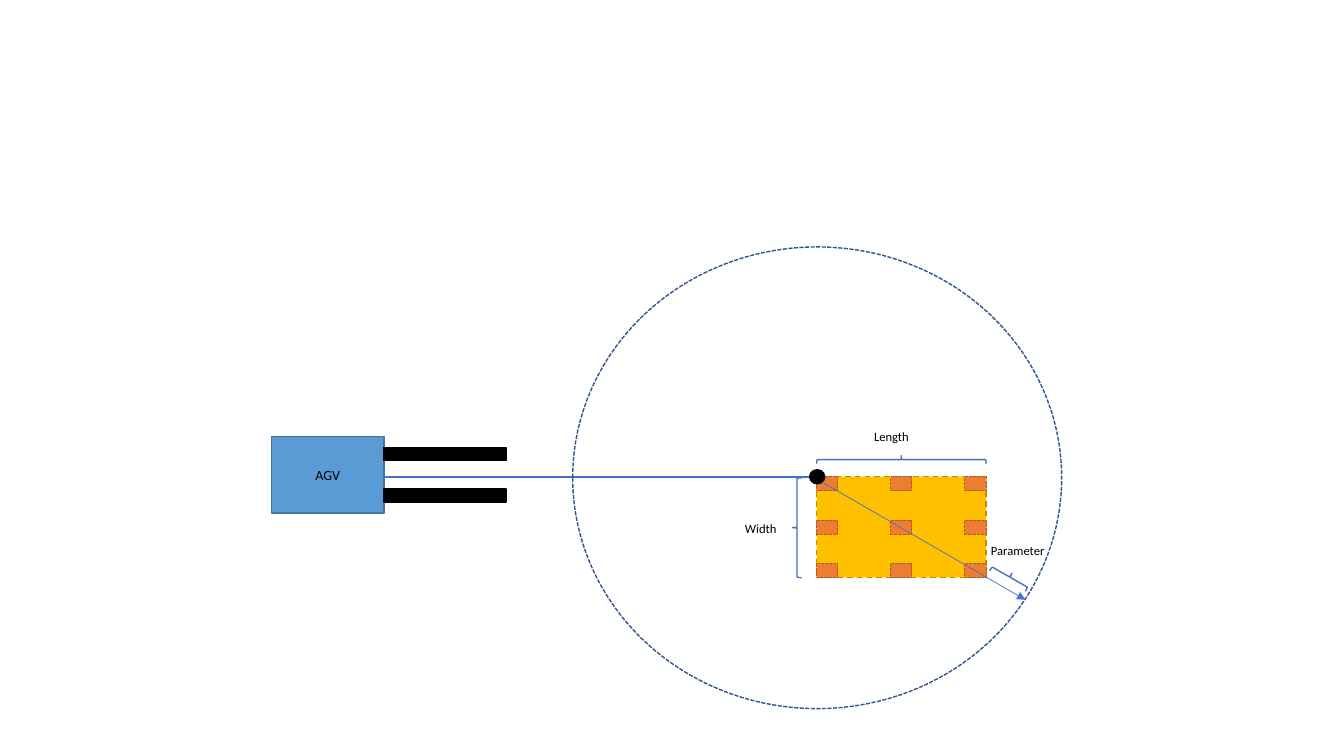
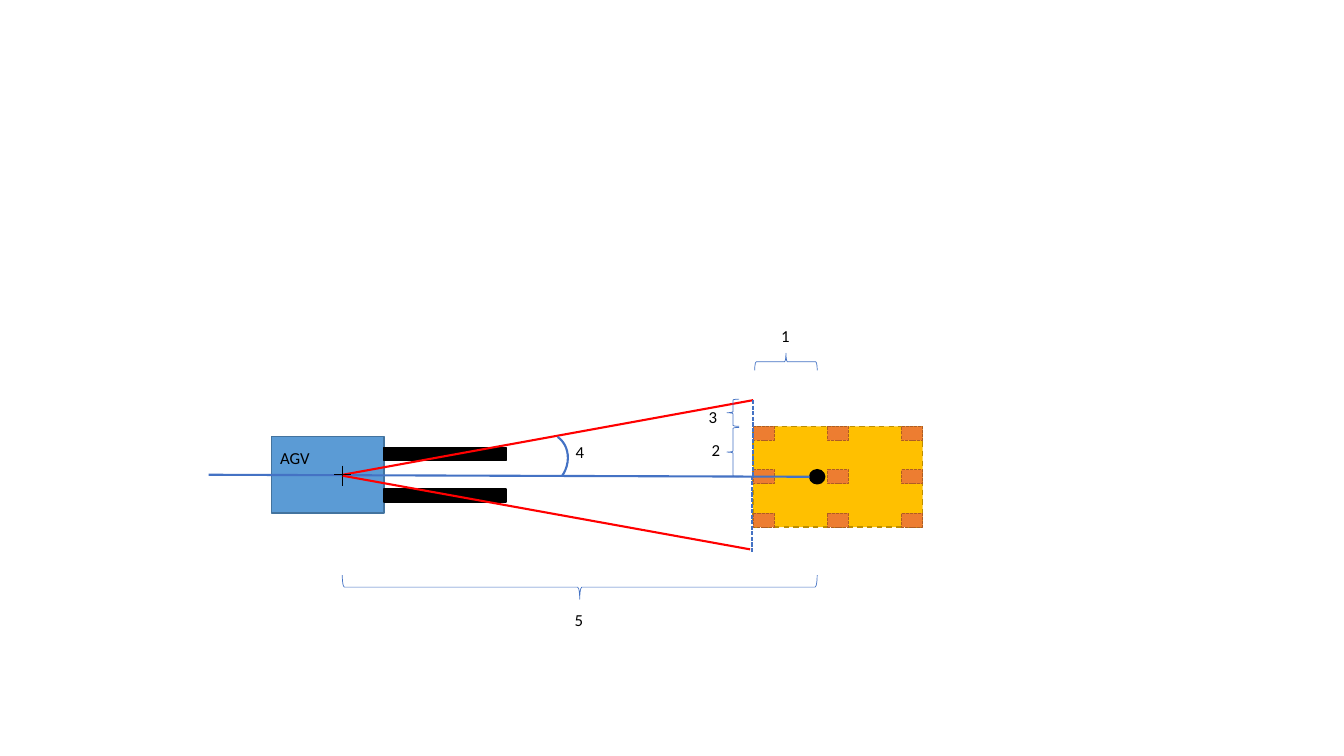
from lxml import etree
from pptx import Presentation
from pptx.dml.color import RGBColor
from pptx.enum.dml import MSO_LINE
from pptx.enum.shapes import MSO_CONNECTOR, MSO_SHAPE
from pptx.enum.text import MSO_ANCHOR, MSO_AUTO_SIZE, PP_ALIGN
from pptx.oxml.ns import qn
from pptx.util import Inches, Pt

BLUE = RGBColor(0x44, 0x72, 0xC4)
CIRCLE_BLUE = RGBColor(0x32, 0x54, 0x91)
VEHICLE_FILL = RGBColor(0x5B, 0x9B, 0xD5)
VEHICLE_LINE = RGBColor(0x43, 0x73, 0x9E)
PALLET_FILL = RGBColor(0xFF, 0xC0, 0x00)
PALLET_LINE = RGBColor(0xBD, 0x8E, 0x00)
FOOT_FILL = RGBColor(0xED, 0x7D, 0x31)
FOOT_LINE = RGBColor(0xAF, 0x5C, 0x24)
RED = RGBColor(0xFF, 0x00, 0x00)
BLACK = RGBColor(0x00, 0x00, 0x00)
FONT = "Calibri"
PALLET_WIDTH, PALLET_HEIGHT = 1.68, 1
FOOT_WIDTH, FOOT_HEIGHT = 0.21, 0.14


def add_figure(slide, kind, box, fill, color, width=1, dash=None, rotation=0):
    shape = slide.shapes.add_shape(kind, *[Inches(value) for value in box])
    shape.shadow.inherit = False
    if fill is None:
        shape.fill.background()
    else:
        shape.fill.solid()
        shape.fill.fore_color.rgb = fill
    shape.line.color.rgb = color
    shape.line.width = Pt(width)
    shape.line.dash_style = dash
    shape.rotation = rotation
    return shape


def add_line(slide, start, end, color, width, dash=None):
    points = [Inches(value) for value in (*start, *end)]
    connector = slide.shapes.add_connector(MSO_CONNECTOR.STRAIGHT, *points)
    connector.line.color.rgb = color
    connector.line.width = Pt(width)
    connector.line.dash_style = dash
    etree.SubElement(connector._element.spPr, qn("a:effectLst"))
    return connector


presentation = Presentation()
presentation.slide_width = Inches(13.33)
presentation.slide_height = Inches(7.5)
blank_layout = presentation.slide_layouts[6]
radius_slide = presentation.slides.add_slide(blank_layout)
angle_slide = presentation.slides.add_slide(blank_layout)

add_line(radius_slide, (8.03, 4.73), (3.11, 4.73), BLUE, 1.5)

for slide, pallet_left, pallet_top, vehicle_text in (
    (radius_slide, 8.1, 4.73, "AGV"),
    (angle_slide, 7.47, 4.23, ""),
):
    add_figure(slide, MSO_SHAPE.RECTANGLE, (pallet_left, pallet_top, PALLET_WIDTH, PALLET_HEIGHT),
               PALLET_FILL, PALLET_LINE, dash=MSO_LINE.DASH)
    vehicle = add_figure(slide, MSO_SHAPE.RECTANGLE, (2.69, 4.33, 1.12, 0.76), VEHICLE_FILL, VEHICLE_LINE)
    vehicle.text_frame.text = vehicle_text
    vehicle.text_frame.vertical_anchor = MSO_ANCHOR.MIDDLE
    paragraph = vehicle.text_frame.paragraphs[0]
    paragraph.alignment = PP_ALIGN.CENTER
    for run in paragraph.runs:
        run.font.name = FONT
        run.font.size = Pt(10)
        run.font.color.rgb = BLACK
    for fork_top in (4.44, 4.85):
        add_figure(slide, MSO_SHAPE.RECTANGLE, (3.81, fork_top, 1.21, 0.13), BLACK, BLACK)
    for row in range(3):
        for column in range(3):
            foot_left = pallet_left + column * (PALLET_WIDTH - FOOT_WIDTH) / 2
            foot_top = pallet_top + row * (PALLET_HEIGHT - FOOT_HEIGHT) / 2
            add_figure(slide, MSO_SHAPE.RECTANGLE, (foot_left, foot_top, FOOT_WIDTH, FOOT_HEIGHT),
                       FOOT_FILL, FOOT_LINE, 0.75, MSO_LINE.SQUARE_DOT)
    add_figure(slide, MSO_SHAPE.OVAL, (8.03, 4.66, 0.15, 0.14), BLACK, BLACK)

add_figure(radius_slide, MSO_SHAPE.OVAL, (5.68, 2.45, 4.85, 4.58), None, CIRCLE_BLUE,
           dash=MSO_LINE.SQUARE_DOT)
radius_arrow = add_line(radius_slide, (8.15, 4.78), (10.17, 5.95), BLUE, 0.5)
etree.SubElement(radius_arrow.line._get_or_add_ln(), qn("a:tailEnd"), type="triangle")

for start, end, color, width, dash in (
    ((3.4, 4.71), (7.47, 3.97), RED, 1.5, None),
    ((8.03, 4.73), (2.07, 4.71), BLUE, 1.5, None),
    ((3.4, 4.62), (3.4, 4.82), BLACK, 0.5, None),
    ((3.48, 4.71), (3.31, 4.71), BLACK, 0.5, None),
    ((7.47, 3.97), (7.47, 4.73), BLUE, 1, MSO_LINE.SQUARE_DOT),
    ((3.4, 4.72), (7.44, 5.45), RED, 1.5, None),
    ((7.46, 4.72), (7.46, 5.48), BLUE, 1, MSO_LINE.SQUARE_DOT),
):
    add_line(angle_slide, start, end, color, width, dash)
add_figure(angle_slide, MSO_SHAPE.ARC, (5.1, 4.28, 0.52, 0.59), None, BLUE, 1.5, rotation=35.2)

for slide, box, width, rotation in (
    (radius_slide, (7.86, 4.74, 0.09, 0.99), 1, 0),
    (radius_slide, (8.9, 3.72, 0.08, 1.68), 1, 90),
    (radius_slide, (9.97, 5.52, 0.09, 0.41), 1, 119.8),
    (angle_slide, (7.71, 3.28, 0.17, 0.62), 0.5, 90),
    (angle_slide, (7.21, 4.24, 0.12, 0.49), 0.5, 0),
    (angle_slide, (7.21, 3.96, 0.12, 0.27), 0.5, 0),
    (angle_slide, (5.63, 3.47, 0.24, 4.71), 0.5, 270),
):
    add_figure(slide, MSO_SHAPE.LEFT_BRACE, box, None, BLUE, width, rotation=rotation)

for slide, text, box, size, wrap in (
    (radius_slide, "Width", (7.29, 5.12, 0.78, 0.25), 9, True),
    (radius_slide, "Length", (8.57, 4.21, 0.78, 0.25), 9, True),
    (radius_slide, "Parameter", (9.73, 5.34, 1.15, 0.25), 9, True),
    (angle_slide, "AGV", (2.68, 4.39, 0.5, 0.3), 12, False),
    (angle_slide, "1", (7.65, 3.18, 0.29, 0.3), 12, False),
    (angle_slide, "2", (6.96, 4.31, 0.29, 0.3), 12, False),
    (angle_slide, "3", (6.93, 3.99, 0.29, 0.3), 12, False),
    (angle_slide, "4", (5.61, 4.33, 0.29, 0.3), 12, False),
    (angle_slide, "5", (5.6, 6, 0.29, 0.3), 12, False),
):
    label = slide.shapes.add_textbox(*[Inches(value) for value in box])
    label.text_frame.text = text
    label.text_frame.word_wrap = wrap
    label.text_frame.auto_size = MSO_AUTO_SIZE.SHAPE_TO_FIT_TEXT
    run = label.text_frame.paragraphs[0].runs[0]
    run.font.name = FONT
    run.font.size = Pt(size)
    run.font.color.rgb = BLACK

presentation.save("out.pptx")
